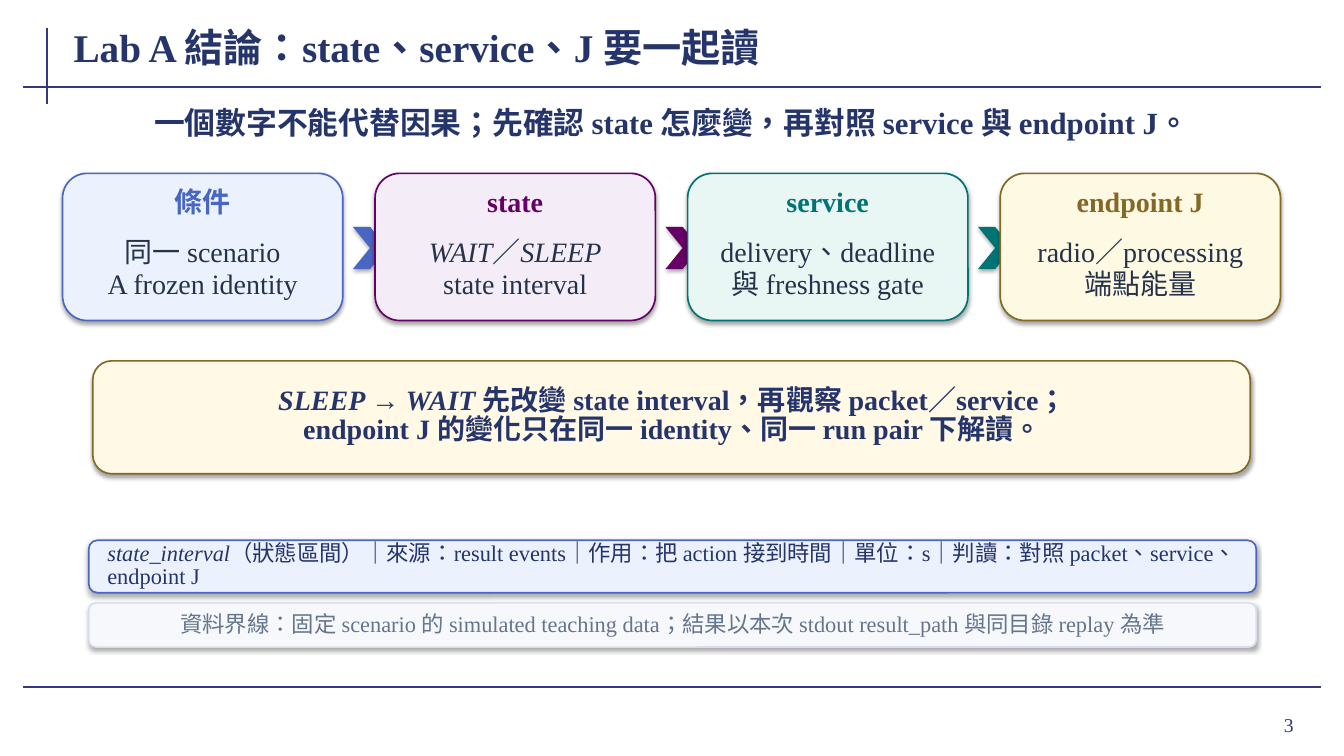
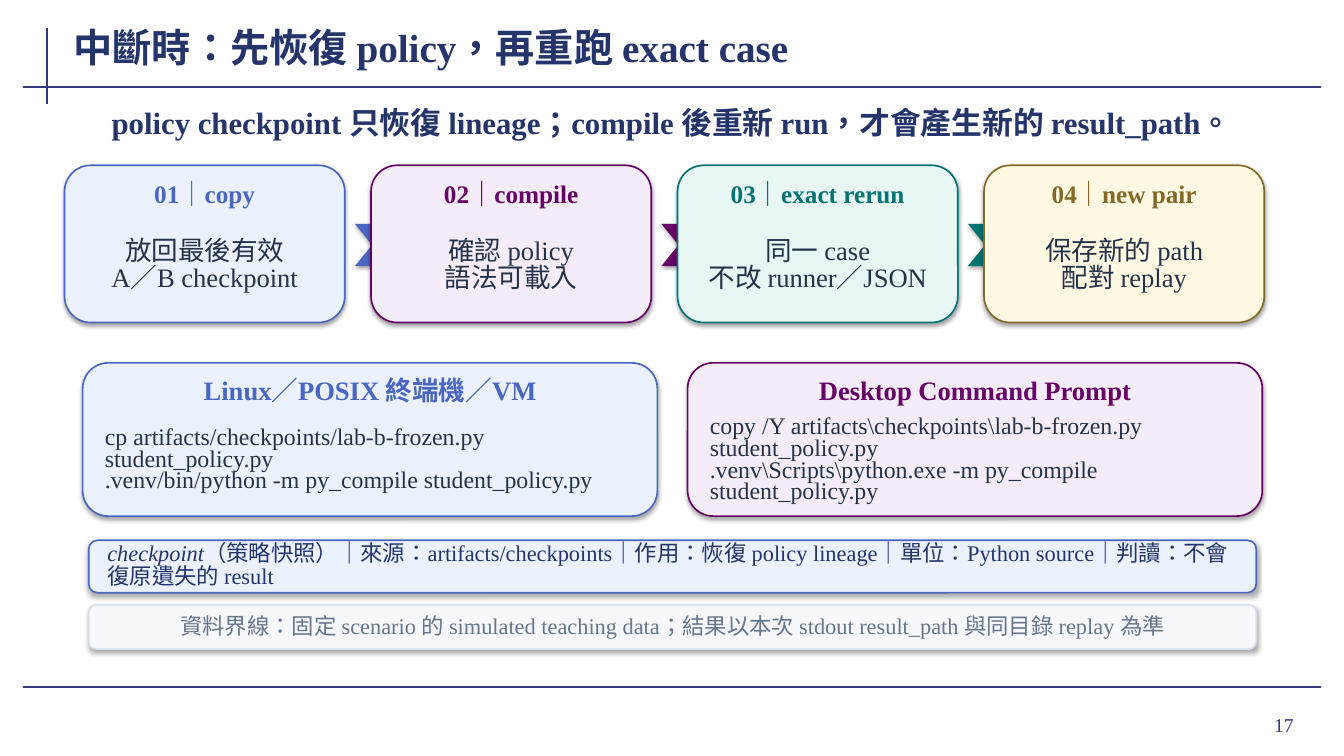
import dataclasses

import lxml.etree
import pptx
import pptx.dml.color
import pptx.enum.lang
import pptx.enum.shapes
import pptx.enum.text
import pptx.oxml.ns
import pptx.util

SHAPE = pptx.enum.shapes.MSO_SHAPE
ALIGN = pptx.enum.text.PP_ALIGN


@dataclasses.dataclass(frozen=True)
class Tone:
    fill: str
    accent: str


@dataclasses.dataclass(frozen=True)
class Style:
    size: int
    color: str = ""
    bold: bool = False
    align: ALIGN = ALIGN.CENTER
    spacing: float = 1.0
    insets: tuple = (0.02, 0)  # horizontal, vertical


class Theme:
    font = "Times New Roman"
    rule = "35377F"
    navy = "25356B"
    ink = "25324A"
    blue = Tone("ECF1FE", "4967C2")
    purple = Tone("F4EDF7", "660066")
    teal = Tone("E8F7F4", "007374")
    gold = Tone("FDF9E2", "846826")
    cream = Tone("FFF9E6", "846826")
    gray = Tone("F7F8FC", "D7DEEA")
    steps = (blue, purple, teal, gold)
    title = Style(28, navy, True, ALIGN.LEFT, insets=(0.01, 0))
    lead = Style(22, navy, True, spacing=0.94)
    message = Style(20, navy, True, spacing=0.88, insets=(0.04, 0.01))
    panel_heading = Style(19, bold=True, spacing=0.86, insets=(0.01, 0))
    command = Style(17, ink, align=ALIGN.LEFT, spacing=0.76)
    term = Style(16, navy, align=ALIGN.LEFT, spacing=0.86, insets=(0.16, 0.01))
    boundary = Style(16, "65758B", spacing=0.9, insets=(0.03, 0.01))
    number = Style(14, rule, align=ALIGN.RIGHT, insets=(0.1, 0.05))


BOUNDARY = "資料界線：固定 scenario 的 simulated teaching data；結果以本次 stdout result_path 與同目錄 replay 為準"


def rgb(color):
    return pptx.dml.color.RGBColor.from_string(color)


def inches(*values):
    return [pptx.util.Inches(value) for value in values]


def set_all(target, values):
    for name, value in values.items():
        setattr(target, name, value)


def write(box, text, style, color=None):
    """Fill a box, one paragraph a line; text between asterisks is italic."""
    frame = box.text_frame
    across, down = inches(*style.insets)
    set_all(frame, {
        "word_wrap": True,
        "auto_size": pptx.enum.text.MSO_AUTO_SIZE.NONE,
        "vertical_anchor": pptx.enum.text.MSO_ANCHOR.MIDDLE,
        "margin_left": across, "margin_right": across,
        "margin_top": down, "margin_bottom": down,
    })
    for index, line in enumerate(text.split("\n")):
        para = frame.add_paragraph() if index else frame.paragraphs[0]
        set_all(para, {"alignment": style.align, "line_spacing": style.spacing})
        for part, words in enumerate(line.split("*")):
            if not words:
                continue
            span = para.add_run()
            span.text = words
            set_all(span.font, {
                "name": Theme.font,
                "size": pptx.util.Pt(style.size),
                "bold": style.bold,
                "italic": part % 2 == 1,
                "language_id": pptx.enum.lang.MSO_LANGUAGE_ID.TRADITIONAL_CHINESE,
            })
            span.font.color.rgb = rgb(color or style.color)


def add_text(page, place, text, style, color=None):
    box = page.shapes.add_textbox(*inches(*place))
    write(box, text, style, color)


def add_shadow(shape):
    shape.shadow.inherit = False
    qname = pptx.oxml.ns.qn
    effects = shape.element.spPr.find(qname("a:effectLst"))
    outer = lxml.etree.SubElement(
        effects, qname("a:outerShdw"), blurRad=str(pptx.util.Pt(3.1)),
        dist=str(pptx.util.Pt(1.8)), dir="5400000", rotWithShape="0")
    color = lxml.etree.SubElement(outer, qname("a:srgbClr"), val="000000")
    lxml.etree.SubElement(color, qname("a:alpha"), val="35000")


def add_plate(page, place, tone):
    plate = page.shapes.add_shape(SHAPE.ROUNDED_RECTANGLE, *inches(*place))
    plate.fill.solid()
    plate.fill.fore_color.rgb = rgb(tone.fill)
    plate.line.color.rgb = rgb(tone.accent)
    plate.line.width = pptx.util.Pt(1.2)
    add_shadow(plate)
    return plate


def add_chevron(page, left, top, color):
    chevron = page.shapes.add_shape(SHAPE.CHEVRON, *inches(left, top, 0.34, 0.42))
    chevron.fill.solid()
    chevron.fill.fore_color.rgb = rgb(color)
    chevron.line.fill.background()
    add_shadow(chevron)


def add_steps(page, origin, pitch, height, steps, heading, body):
    """Draw a row of cards, with a chevron between each two."""
    start, top = origin
    width = 2.78
    for index, (tone, (name, text)) in enumerate(zip(Theme.steps, steps)):
        left = start + index * pitch
        add_plate(page, (left, top, width, height), tone)
        add_text(page, (left + 0.16, top + 0.12, width - 0.32, 0.36),
                 name, heading, tone.accent)
        add_text(page, (left + 0.18, top + 0.56, width - 0.36, height - 0.68),
                 text, body)
        if index < len(steps) - 1:
            add_chevron(page, left + width + 0.1, top + height / 2 - 0.2, tone.accent)


def add_command_panel(page, left, tone, name, commands):
    top, width, height = 3.6, 5.7, 1.52
    add_plate(page, (left, top, width, height), tone)
    add_text(page, (left + 0.14, top + 0.12, width - 0.28, 0.34),
             name, Theme.panel_heading, tone.accent)
    add_text(page, (left + 0.2, top + 0.54, width - 0.4, height - 0.66),
             commands, Theme.command)


def add_notes_bars(page, term, boundary_top):
    left, width = 0.88, 11.58
    write(add_plate(page, (left, 5.36, width, 0.52), Theme.blue), term, Theme.term)
    write(add_plate(page, (left, boundary_top, width, 0.44), Theme.gray),
          BOUNDARY, Theme.boundary)


def add_frame(page):
    for ends in ((0.47, 0.28, 0.47, 1.03), (0.23, 0.86, 13.1, 0.86),
                 (0.23, 6.82, 13.1, 6.82)):
        rule = page.shapes.add_connector(
            pptx.enum.shapes.MSO_CONNECTOR.STRAIGHT, *inches(*ends))
        rule.line.color.rgb = rgb(Theme.rule)
        rule.line.width = pptx.util.Pt(1.5)
        lxml.etree.SubElement(rule.element.spPr, pptx.oxml.ns.qn("a:effectLst"))


def add_page(deck, number, title, lead):
    page = deck.slides.add_slide(deck.slide_layouts.get_by_name("Title Only"))
    add_frame(page)
    add_text(page, (11.96, 6.93, 0.97, 0.52), str(number), Theme.number)
    box = page.shapes.title
    set_all(box, dict(zip(("left", "top", "width", "height"),
                          inches(0.72, 0.2, 10.35, 0.53))))
    write(box, title, Theme.title)
    add_text(page, (0.92, 1.02, 11.48, 0.42), lead, Theme.lead)
    return page


def build_conclusion(deck):
    page = add_page(deck, 3, "Lab A 結論：state、service、J 要一起讀",
                    "一個數字不能代替因果；先確認 state 怎麼變，再對照 service 與 endpoint J。")
    steps = (
        ("條件", "同一 scenario\nA frozen identity"),
        ("state", "*WAIT*／*SLEEP*\nstate interval"),
        ("service", "delivery、deadline\n與 freshness gate"),
        ("endpoint J", "radio／processing\n端點能量"),
    )
    add_steps(page, (0.62, 1.72), 3.1, 1.46, steps,
              Style(20, bold=True, spacing=0.92),
              Style(20, Theme.ink, spacing=0.96, insets=(0.03, 0.02)))
    add_plate(page, (0.92, 3.58, 11.48, 1.12), Theme.cream)
    add_text(page, (1.18, 3.78, 10.98, 0.7),
             "*SLEEP → WAIT* 先改變 state interval，再觀察 packet／service；\n"
             "endpoint J 的變化只在同一 identity、同一 run pair 下解讀。", Theme.message)
    add_notes_bars(page, "*state_interval*（狀態區間）｜來源：result events｜"
                   "作用：把 action 接到時間｜單位：s｜"
                   "判讀：對照 packet、service、endpoint J", 5.98)


def build_recovery(deck):
    page = add_page(deck, 17, "中斷時：先恢復 policy，再重跑 exact case",
                    "policy checkpoint 只恢復 lineage；compile 後重新 run，"
                    "才會產生新的 result_path。")
    steps = (
        ("01｜copy", "放回最後有效\nA／B checkpoint"),
        ("02｜compile", "確認 policy\n語法可載入"),
        ("03｜exact rerun", "同一 case\n不改 runner／JSON"),
        ("04｜new pair", "保存新的 path\n配對 replay"),
    )
    add_steps(page, (0.64, 1.64), 3.04, 1.56, steps,
              Style(18, bold=True, spacing=0.92),
              Style(19, Theme.ink, spacing=0.84, insets=(0.03, 0.02)))
    add_command_panel(page, 0.82, Theme.blue, "Linux／POSIX 終端機／VM",
                      "cp artifacts/checkpoints/lab-b-frozen.py student_policy.py\n"
                      ".venv/bin/python -m py_compile student_policy.py")
    add_command_panel(page, 6.82, Theme.purple, "Desktop Command Prompt",
                      "copy /Y artifacts\\checkpoints\\lab-b-frozen.py student_policy.py\n"
                      ".venv\\Scripts\\python.exe -m py_compile student_policy.py")
    add_notes_bars(page, "*checkpoint*（策略快照）｜來源：artifacts/checkpoints｜"
                   "作用：恢復 policy lineage｜單位：Python source｜"
                   "判讀：不會復原遺失的 result", 6)


def main():
    deck = pptx.Presentation()
    deck.slide_width, deck.slide_height = inches(13.33, 7.5)
    build_conclusion(deck)
    build_recovery(deck)
    deck.save("out.pptx")


if __name__ == "__main__":
    main()
